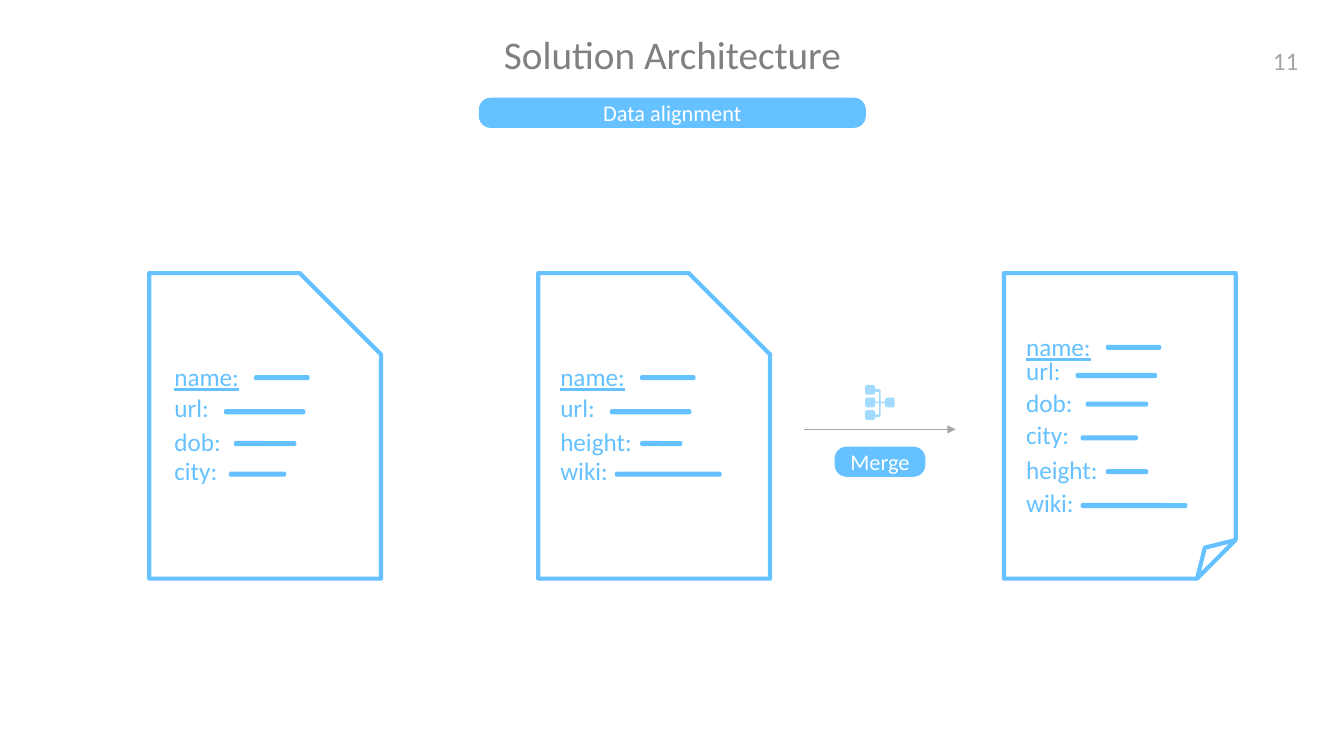
from dataclasses import dataclass

from lxml import etree
from pptx import Presentation
from pptx.dml.color import RGBColor
from pptx.enum import shapes, text
from pptx.oxml import ns
from pptx.util import Pt

SHAPE = shapes.MSO_SHAPE
ALIGN = text.PP_ALIGN


@dataclass(frozen=True)
class Theme:
    font: str = "Calibri"
    blue: str = "65C1FF"
    pale_blue: str = "A3DAFF"
    white: str = "FFFFFF"
    title_grey: str = "808080"
    grey: str = "A6A6A6"
    title_size: float = 28
    body_size: float = 18
    pill_size: float = 16
    outline: float = 3
    arrow: float = 0.5
    rounding: float = 0.398
    snip: float = 0.351


@dataclass(frozen=True)
class Box:
    left: float
    top: float
    width: float
    height: float

    def lengths(self) -> tuple:
        return Pt(self.left), Pt(self.top), Pt(self.width), Pt(self.height)


@dataclass(frozen=True)
class Field:
    bar_left: float
    bar_drop: float
    bar_width: float
    underline: bool = False


@dataclass(frozen=True)
class Document:
    left: float
    label_left: float
    outline: int
    label_tops: dict


THEME = Theme()
FIELDS = {
    "name:": Field(64.1, 13, 39.6, True),
    "url:": Field(42.5, 15.8, 58.3),
    "dob:": Field(49.7, 14, 44.6),
    "city:": Field(46.1, 15.1, 41),
    "height:": Field(64.1, 14, 30.2),
    "wiki:": Field(46.1, 15.1, 76.3),
}
DOCUMENTS = [
    Document(717.1, 725.8, SHAPE.FOLDED_CORNER,
             {"name:": 233.3, "url:": 250.6, "dob:": 272.9,
              "city:": 295.9, "height:": 321.1, "wiki:": 344.2}),
    Document(384.5, 393.1, SHAPE.SNIP_1_RECTANGLE,
             {"name:": 254.9, "url:": 276.5, "height:": 301, "wiki:": 321.8}),
    Document(106.6, 117.4, SHAPE.SNIP_1_RECTANGLE,
             {"name:": 254.9, "url:": 276.5, "dob:": 301, "city:": 321.8}),
]


def colour(value: str) -> RGBColor:
    return RGBColor.from_string(value)


def write(frame, words: str, size: float, ink: str, align=ALIGN.LEFT,
          underline: bool = False, spacing: float = 1.0, **settings) -> None:
    paragraph = frame.paragraphs[0]
    run = paragraph.add_run()
    run.text = words
    formats = [
        (frame, {"word_wrap": True, **settings}),
        (paragraph, {"alignment": align, "line_spacing": spacing}),
        (run.font, {"name": THEME.font, "size": Pt(size), "underline": underline}),
    ]
    for target, values in formats:
        for key, value in values.items():
            setattr(target, key, value)
    run.font.color.rgb = colour(ink)


def paint(shape, fill: str) -> None:
    shape.shadow.inherit = False
    shape.fill.solid()
    shape.fill.fore_color.rgb = colour(fill)
    shape.line.fill.background()


def add_text(slide, box: Box, words: str, size: float, ink: str, **settings) -> None:
    write(slide.shapes.add_textbox(*box.lengths()).text_frame, words, size, ink, **settings)


def add_pill(slide, box: Box, words: str = "") -> None:
    pill = slide.shapes.add_shape(SHAPE.ROUNDED_RECTANGLE, *box.lengths())
    pill.adjustments[0] = THEME.rounding
    paint(pill, THEME.blue)
    if words:
        write(pill.text_frame, words, THEME.pill_size, THEME.white, ALIGN.CENTER,
              vertical_anchor=text.MSO_ANCHOR.MIDDLE)


def add_document(slide, document: Document) -> None:
    page = slide.shapes.add_shape(
        document.outline, *Box(document.left, 195.1, 165.6, 218.2).lengths())
    paint(page, THEME.white)
    if document.outline == SHAPE.SNIP_1_RECTANGLE:
        page.adjustments[0] = THEME.snip
    else:
        page.fill.background()
    page.line.color.rgb = colour(THEME.blue)
    page.line.width = Pt(THEME.outline)
    for label, top in document.label_tops.items():
        field = FIELDS[label]
        add_text(slide, Box(document.label_left, top, 66.2, 28.8), label,
                 THEME.body_size, THEME.blue, underline=field.underline,
                 auto_size=text.MSO_AUTO_SIZE.SHAPE_TO_FIT_TEXT)
        add_pill(slide, Box(document.label_left + field.bar_left,
                            top + field.bar_drop, field.bar_width, 3.6))


def node_outline(middle: float) -> list[tuple[float, float]]:
    steps = [(10.1, 0.9), (7.2, 0.9), (7.2, 2.2), (5.8, 3.6), (1.4, 3.6), (0, 2.2)]
    lower = [(x, middle + y) for x, y in steps]
    upper = [(x, middle - y) for x, y in reversed(steps)]
    return lower + upper


def add_merge_icon(slide, left: float, top: float) -> None:
    width, height = 21.6, 25.2
    root = [(width - x, height - y) for x, y in node_outline(12.6)]
    outline = [point for middle in (21.6, 12.6, 3.6) for point in node_outline(middle)]
    outline += [(11.5, 3.6), *root, (11.5, 21.6)]
    points = [(left + x, top + y) for x, y in outline]
    builder = slide.shapes.build_freeform(*points[0], scale=Pt(1))
    builder.add_line_segments(points[1:], close=True)
    paint(builder.convert_to_shape(), THEME.pale_blue)


def add_arrow(slide, left: float, right: float, level: float) -> None:
    arrow = slide.shapes.add_connector(
        shapes.MSO_CONNECTOR.STRAIGHT, Pt(left), Pt(level), Pt(right), Pt(level))
    arrow.line.color.rgb = colour(THEME.grey)
    arrow.line.width = Pt(THEME.arrow)
    etree.SubElement(arrow.line._get_or_add_ln(), ns.qn("a:tailEnd"), type="triangle")
    etree.SubElement(arrow._element.spPr, ns.qn("a:effectLst"))


def main() -> None:
    deck = Presentation()
    deck.slide_width, deck.slide_height = Pt(960), Pt(540)
    slide = deck.slides.add_slide(deck.slide_layouts[6])
    add_text(slide, Box(139, 21.6, 682.6, 31.7), "Solution Architecture",
             THEME.title_size, THEME.title_grey, align=ALIGN.CENTER, spacing=0.9)
    add_pill(slide, Box(342, 69.8, 276.5, 21.6), "Data alignment")
    for document in DOCUMENTS:
        add_document(slide, document)
    add_arrow(slide, 574.6, 682.6, 306.7)
    add_merge_icon(slide, 617.8, 275)
    add_pill(slide, Box(596.2, 319, 64.8, 21.6), "Merge")
    add_text(slide, Box(897.8, 28.8, 41, 28.8), "11", THEME.body_size, THEME.grey,
             align=ALIGN.CENTER, auto_size=text.MSO_AUTO_SIZE.SHAPE_TO_FIT_TEXT)
    deck.save("out.pptx")


if __name__ == "__main__":
    main()
